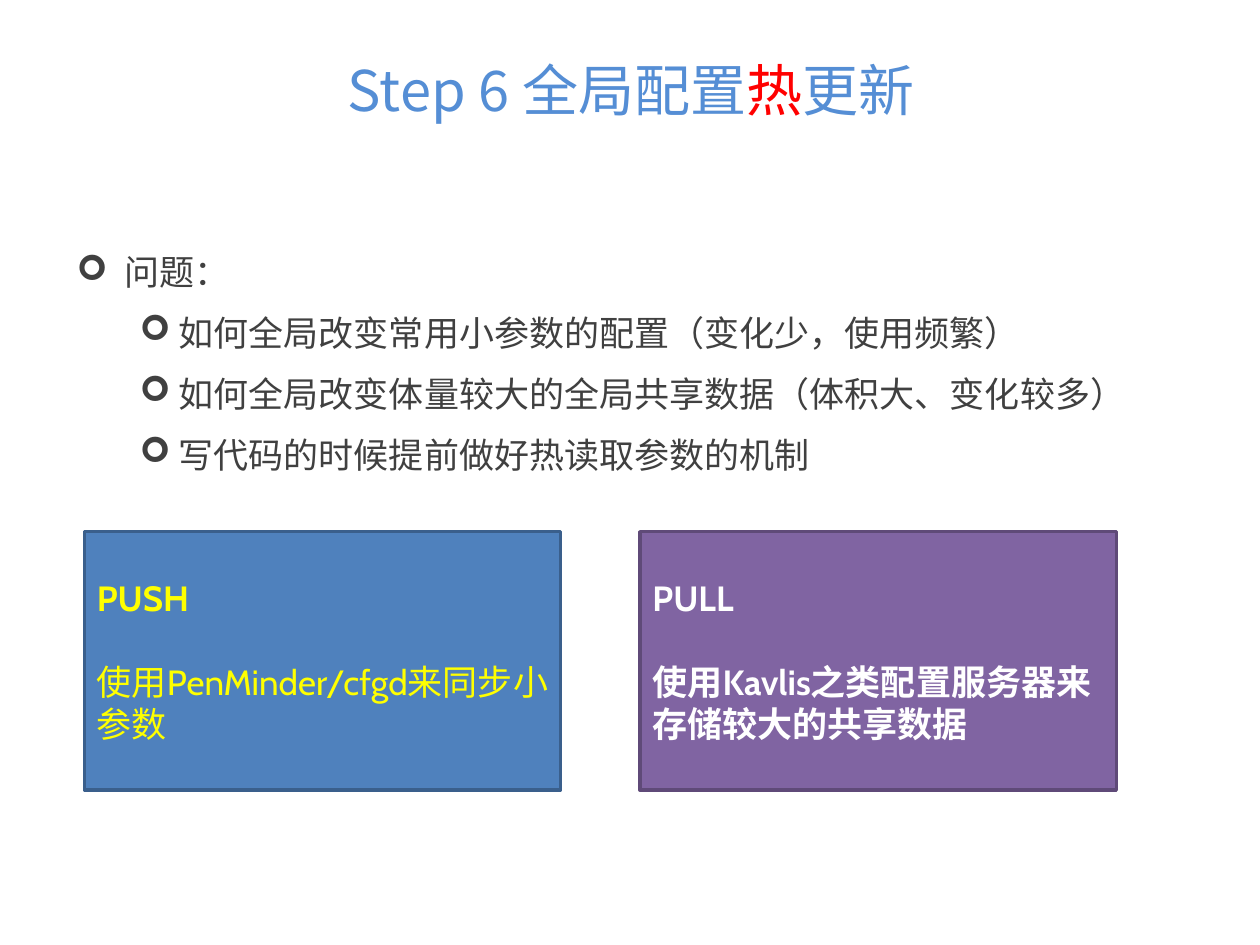
from pptx import Presentation
from pptx.dml.color import RGBColor as RGB
from pptx.enum.shapes import MSO_SHAPE as Shape
from pptx.enum.text import MSO_ANCHOR as Anchor, PP_ALIGN as Align
from pptx.oxml.ns import qn
from pptx.util import Inches, Pt
from lxml import etree

COLORS = {
    "title": "558ED5", "hot": "FF0000", "body": "404040",
    "push": "4F81BD", "push_edge": "3A5F8C", "push_text": "FFFF00",
    "pull": "8064A2", "pull_edge": "5F4A78", "pull_text": "FFFFFF",
}
SANS = "Noto Sans CJK SC"
LATIN = "Cabin"


def color(name):
    return RGB.from_string(COLORS[name])


def style(run, size, name, face, bold=False):
    font = run.font
    font.size, font.name, font.bold = Pt(size), face, bold
    font.color.rgb = color(name)
    if face == SANS:
        east = etree.SubElement(run._r.get_or_add_rPr(), qn("a:ea"))
        east.set("typeface", face)


def add_text(slide, box, anchor):
    frame = slide.shapes.add_textbox(*map(Inches, box)).text_frame
    frame.word_wrap = True
    frame.vertical_anchor = anchor
    return frame


def add_bullet(para, left, hang):
    props = para._p.get_or_add_pPr()
    props.set("marL", str(Inches(left)))
    props.set("indent", str(-Inches(hang)))
    etree.SubElement(props, qn("a:buFont")).set("typeface", "Wingdings")
    etree.SubElement(props, qn("a:buChar")).set("char", "➢")


def add_title(slide, box, parts):
    para = add_text(slide, box, Anchor.MIDDLE).paragraphs[0]
    para.alignment = Align.CENTER
    for text, name in parts:
        run = para.add_run()
        run.text = text
        style(run, 32, name, SANS)


def add_list(slide, box, items):
    frame = add_text(slide, box, Anchor.TOP)
    frame.text = "\n".join(text for text, level in items)
    for para, (text, level) in zip(frame.paragraphs, items):
        para.level = level
        para.line_spacing = Pt(24)
        para.space_before = Pt(10.8)
        add_bullet(para, *((0.81, 0.31) if level else (0.38, 0.38)))
        style(para.runs[0], 20, "body", SANS)


def add_card(slide, box, kind, head, text, bold):
    card = slide.shapes.add_shape(Shape.RECTANGLE, *map(Inches, box))
    card.shadow.inherit = False
    card.fill.solid()
    card.fill.fore_color.rgb = color(kind)
    card.line.color.rgb = color(kind + "_edge")
    card.line.width = Pt(2)
    frame = card.text_frame
    frame.word_wrap = True
    frame.vertical_anchor = Anchor.MIDDLE
    frame.text = f"{head}\n{text}"
    for para, heavy in zip(frame.paragraphs, (True, bold)):
        para.alignment = Align.LEFT
        style(para.runs[0], 20, kind + "_text", LATIN, heavy)
    frame.paragraphs[1].space_before = Pt(24)


def main():
    deck = Presentation()
    deck.slide_width, deck.slide_height = Inches(10), Inches(7.5)
    slide = deck.slides.add_slide(deck.slide_layouts[6])

    # Title
    add_title(slide, (0.51, 0.36, 9, 0.69), [
        ("Step 6 全局配置", "title"), ("热", "hot"), ("更新", "title")])

    # Questions
    add_list(slide, (0.51, 1.94, 8.98, 1.89), [
        ("问题：", 0),
        ("如何全局改变常用小参数的配置（变化少，使用频繁）", 1),
        ("如何全局改变体量较大的全局共享数据（体积大、变化较多）", 1),
        ("写代码的时候提前做好热读取参数的机制", 1)])

    # Two ways to update
    cards = [
        ("push", "PUSH", "使用PenMinder/cfgd来同步小参数", False),
        ("pull", "PULL", "使用Kavlis之类配置服务器来存储较大的共享数据", True)]
    for i, card in enumerate(cards):
        add_card(slide, (0.67 + 4.41 * i, 4.22, 3.78, 2.05), *card)

    deck.save("out.pptx")


if __name__ == "__main__":
    main()
